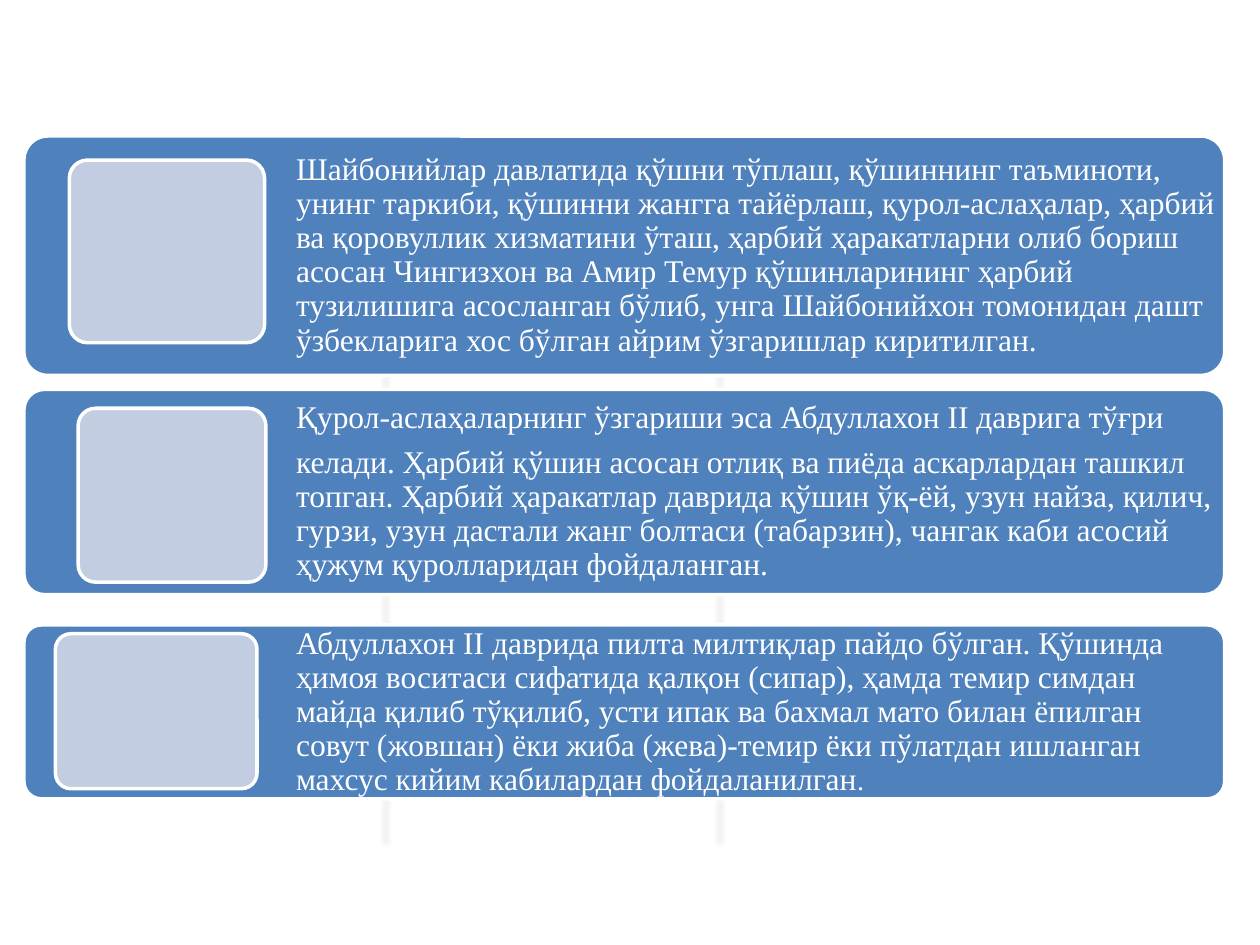
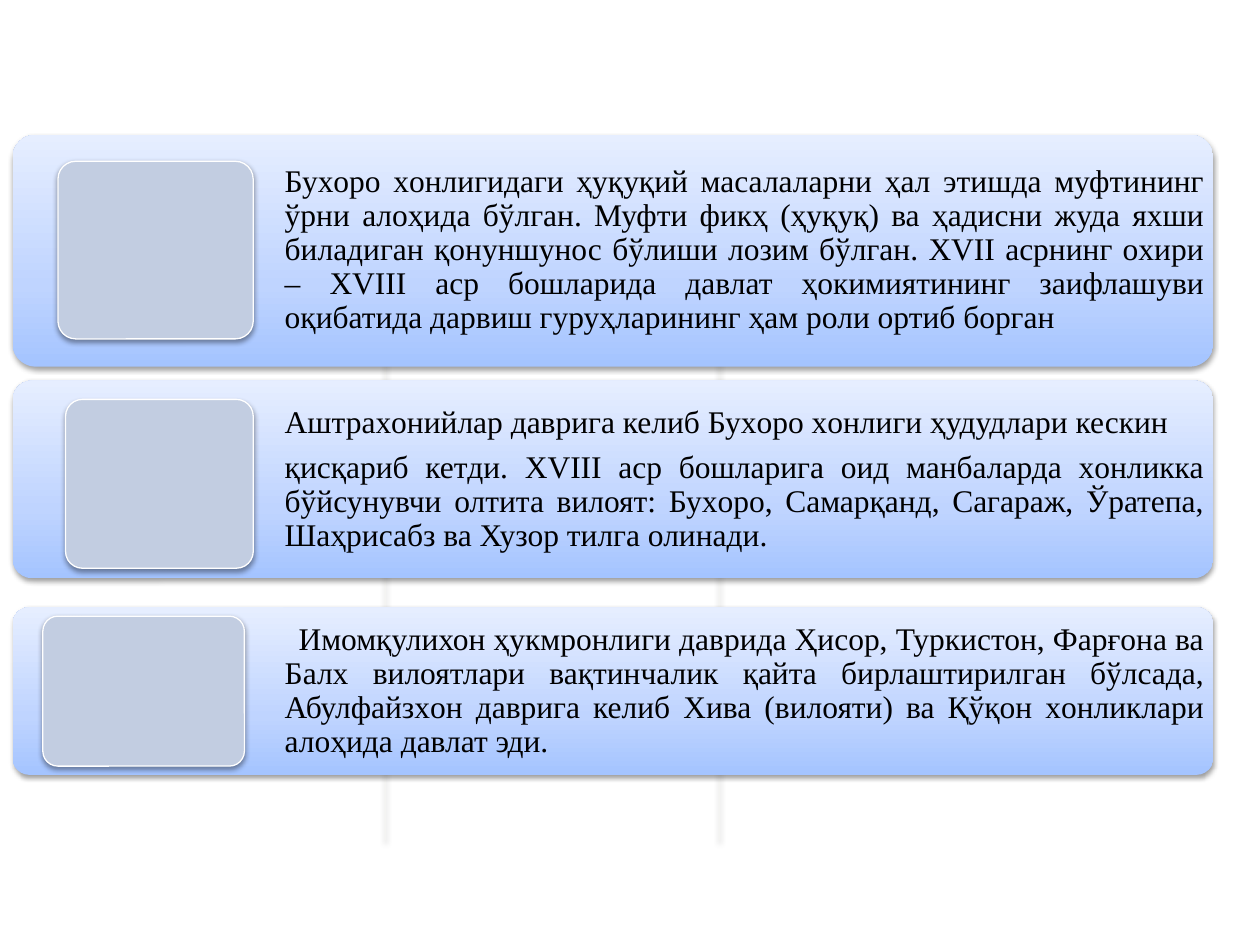
from copy import deepcopy

from lxml.etree import SubElement
from pptx import Presentation
from pptx.dml.color import RGBColor
from pptx.enum.shapes import MSO_CONNECTOR as Connector, MSO_SHAPE as Shape
from pptx.enum.text import MSO_ANCHOR as Anchor, PP_ALIGN as Align
from pptx.oxml.ns import qn
from pptx.util import Inches, Pt

COLORS = {
    "band": "4F81BD",
    "tile": "C2CDE1",
    "white": "FFFFFF",
    "black": "000000",
    "rule": "F8F7F3",
}
BAND_GRADIENT = [(0, "A4C4FF"), (0.35, "BFD4FF"), (1, "E6EEFF")]
FONT = "Times New Roman"
BAND_WIDTH = 9.53
TEXT_OFFSET = 2.09
RULE_POSITIONS = (3.06, 5.71)

# Each card: band top and height, tile box, paragraphs
ARMY_CARDS = [
    dict(top=1.08, height=1.9, tile=(0.55, 1.27, 1.55, 1.45), paragraphs=[
        "Шайбонийлар давлатида қўшни тўплаш, қўшиннинг таъминоти, унинг таркиби, "
        "қўшинни жангга тайёрлаш, қурол-аслаҳалар, ҳарбий ва қоровуллик хизматини "
        "ўташ, ҳарбий ҳаракатларни олиб бориш асосан Чингизхон ва Амир Темур "
        "қўшинларининг ҳарбий тузилишига асосланган бўлиб, унга Шайбонийхон "
        "томонидан дашт ўзбекларига хос бўлган айрим ўзгаришлар киритилган."]),
    dict(top=3.09, height=1.63, tile=(0.62, 3.24, 1.49, 1.38), paragraphs=[
        "Қурол-аслаҳаларнинг ўзгариши эса Абдуллахон II даврига тўғри",
        "келади. Ҳарбий қўшин асосан отлиқ ва пиёда аскарлардан ташкил топган. "
        "Ҳарбий ҳаракатлар даврида қўшин ўқ-ёй, узун найза, қилич, гурзи, узун "
        "дастали жанг болтаси (табарзин), чангак каби асосий ҳужум қуролларидан "
        "фойдаланган."]),
    dict(top=4.96, height=1.38, tile=(0.44, 5.03, 1.6, 1.23), small_ending=".", paragraphs=[
        "Абдуллахон II даврида пилта милтиқлар пайдо бўлган. Қўшинда ҳимоя "
        "воситаси сифатида қалқон (сипар), ҳамда темир симдан майда қилиб "
        "тўқилиб, усти ипак ва бахмал мато билан ёпилган совут (жовшан) ёки жиба "
        "(жева)-темир ёки пўлатдан ишланган махсус кийим кабилардан "
        "фойдаланилган"]),
]
BUKHARA_CARDS = [
    dict(top=1.07, height=1.84, tile=(0.46, 1.28, 1.55, 1.41), paragraphs=[
        "Буxоро xонлигидаги ҳуқуқий масалаларни ҳал этишда муфтининг ўрни алоҳида "
        "бўлган. Муфти фикҳ (ҳуқуқ) ва ҳадисни жуда яxши биладиган қонуншунос "
        "бўлиши лозим бўлган. XVII aсрнинг оxири – XVIII аср бошларида давлат "
        "ҳокимиятининг заифлашуви оқибатида дарвиш гуруҳларининг ҳам роли ортиб "
        "борган"]),
    dict(top=3.02, height=1.57, tile=(0.52, 3.17, 1.49, 1.34), paragraphs=[
        "Аштраxонийлар даврига келиб Буxоро xонлиги ҳудудлари кескин",
        "қисқариб кетди. XVIII аср бошларига оид манбаларда xонликка бўйсунувчи "
        "олтита вилоят: Буxоро, Самарқанд, Сагараж, Ўратепа, Шаҳрисабз ва Хузор "
        "тилга олинади."]),
    dict(top=4.82, height=1.33, tile=(0.34, 4.89, 1.6, 1.19), first_indent=0.11, paragraphs=[
        "Имомқулихон ҳукмронлиги даврида Ҳисор, Туркистон, Фарғона ва Балx "
        "вилоятлари вақтинчалик қайта бирлаштирилган бўлсада, Абулфайзxон даврига "
        "келиб Xива (вилояти) ва Қўқон xонликлари алоҳида давлат эди."]),
]


def rgb(name):
    return RGBColor.from_string(COLORS[name])


def set_alpha(color_element, percent):
    SubElement(color_element, qn("a:alpha"), val=str(percent * 1000))


def add_soft_shadow(effects):
    """Put a faint downward shadow into an a:effectLst element."""
    shadow = SubElement(effects, qn("a:outerShdw"), blurRad=str(Pt(3.1)),
                        dist=str(Pt(1.6)), dir="5400000", rotWithShape="0")
    set_alpha(SubElement(shadow, qn("a:srgbClr"), val=COLORS["black"]), 38)


class CardDeck:
    def __init__(self):
        self.presentation = Presentation()
        self.presentation.slide_width = Inches(10)
        self.presentation.slide_height = Inches(7.5)
        self.slide = None

    def new_slide(self, left, text_color, raised, alignment):
        """Start a slide; raised cards have gradients and shadows."""
        self.slide = self.presentation.slides.add_slide(self.presentation.slide_layouts[6])
        self.left, self.text_color = left, text_color
        self.raised, self.alignment = raised, alignment
        for x in RULE_POSITIONS:
            self.rule(x)

    def rule(self, x):
        line = self.slide.shapes.add_connector(
            Connector.STRAIGHT, Inches(x), Inches(2.33), Inches(x), Inches(6.67))
        line.line.color.rgb = rgb("rule")
        line.line.width = Pt(1)
        properties = line._element.spPr
        set_alpha(next(properties.iter(qn("a:srgbClr"))), 40)
        add_soft_shadow(SubElement(properties, qn("a:effectLst")))

    def rounded_box(self, left, top, width, height, color):
        shape = self.slide.shapes.add_shape(
            Shape.ROUNDED_RECTANGLE, Inches(left), Inches(top), Inches(width), Inches(height))
        shape.adjustments[0] = 0.1
        shape.fill.solid()
        shape.fill.fore_color.rgb = rgb(color)
        shape.line.color.rgb = rgb("white")
        shape.line.width = Pt(0.75 if self.raised else 2)
        shape.shadow.inherit = False
        if self.raised:
            add_soft_shadow(shape._element.spPr.find(qn("a:effectLst")))
        return shape

    def band(self, top, height):
        shape = self.rounded_box(self.left, top, BAND_WIDTH, height, "band")
        if self.raised:
            shape.line.fill.background()
            shape.fill.gradient()
            shape.fill.gradient_angle = 90
            stops = next(shape._element.spPr.iter(qn("a:gsLst")))
            stops.append(deepcopy(stops[0]))
            for stop, (position, color) in zip(shape.fill.gradient_stops, BAND_GRADIENT):
                stop.position = position
                stop.color.rgb = RGBColor.from_string(color)

    def body_text(self, top, height, paragraphs, small_ending, first_indent):
        box = self.slide.shapes.add_textbox(
            Inches(self.left + TEXT_OFFSET), Inches(top),
            Inches(BAND_WIDTH - TEXT_OFFSET), Inches(height))
        frame = box.text_frame
        frame.word_wrap = True
        frame.vertical_anchor = Anchor.MIDDLE
        frame.margin_left = frame.margin_right = Inches(0.07)
        frame.margin_top = frame.margin_bottom = Inches(0.07)
        frame.text = "\n".join(paragraphs)
        if small_ending:
            frame.paragraphs[-1].add_run().text = small_ending
        for paragraph in frame.paragraphs:
            paragraph.alignment = self.alignment
            paragraph.line_spacing = 0.9
            paragraph.space_after = Pt(6.3)
            if first_indent:
                paragraph._p.get_or_add_pPr().set("indent", str(Inches(first_indent)))
            for run in paragraph.runs:
                run.font.name = FONT
                run.font.size = Pt(18)
                run.font.color.rgb = rgb(self.text_color)
        if small_ending:
            frame.paragraphs[-1].runs[-1].font.size = Pt(16)

    def card(self, top, height, tile, paragraphs, small_ending="", first_indent=0):
        self.band(top, height)
        self.body_text(top, height, paragraphs, small_ending, first_indent)
        self.rounded_box(*tile, "tile")


def main():
    deck = CardDeck()
    deck.new_slide(left=0.19, text_color="white", raised=False, alignment=Align.LEFT)
    for card in ARMY_CARDS:
        deck.card(**card)
    deck.new_slide(left=0.1, text_color="black", raised=True, alignment=Align.JUSTIFY)
    for card in BUKHARA_CARDS:
        deck.card(**card)
    deck.presentation.save("out.pptx")


if __name__ == "__main__":
    main()
